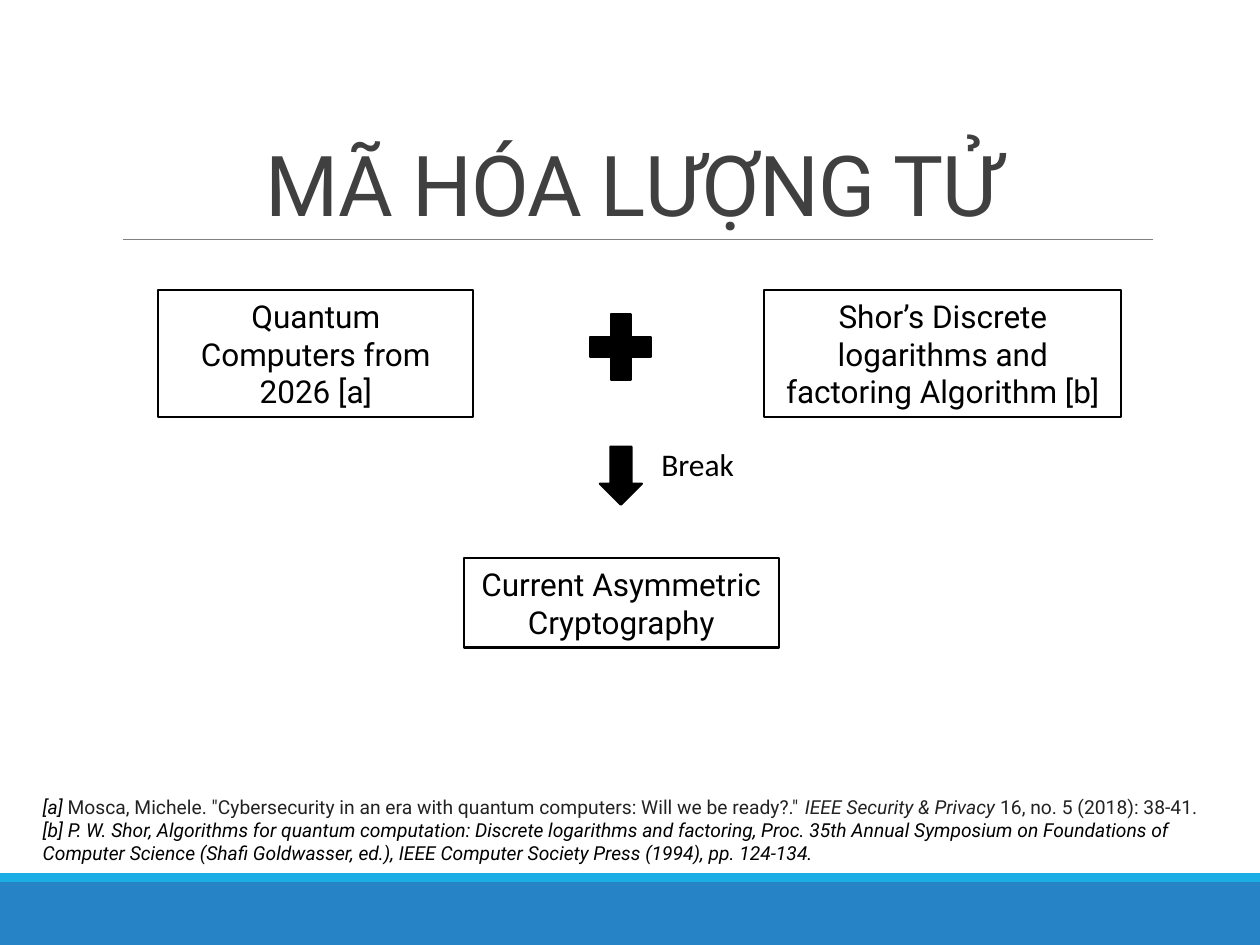
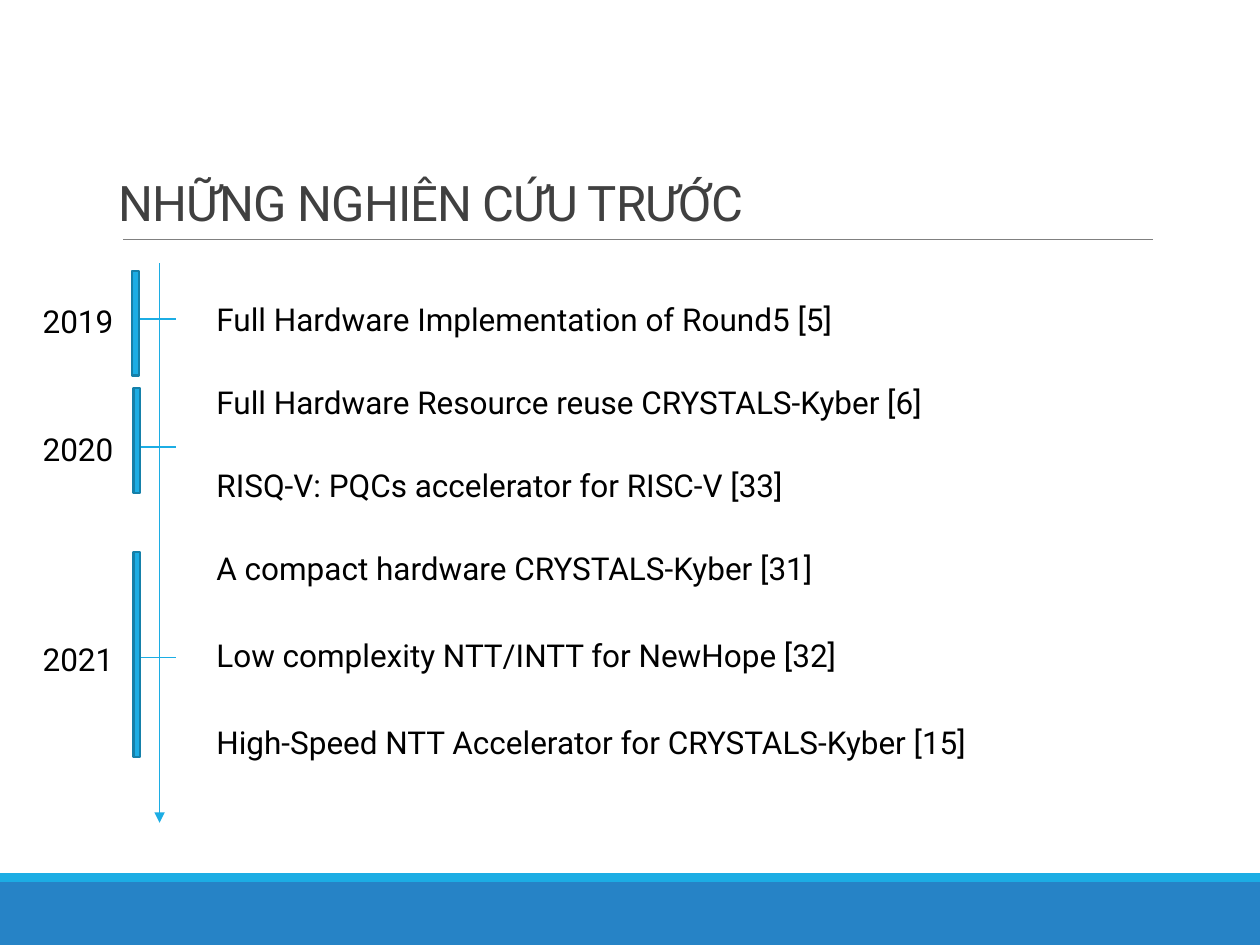
from lxml import etree
from pptx import Presentation
from pptx.dml.color import RGBColor
from pptx.enum.shapes import MSO_CONNECTOR, MSO_SHAPE
from pptx.enum.text import MSO_ANCHOR, MSO_AUTO_SIZE, PP_ALIGN
from pptx.oxml.ns import qn
from pptx.util import Pt

# Enum members
RECTANGLE, PROCESS = MSO_SHAPE.RECTANGLE, MSO_SHAPE.FLOWCHART_PROCESS
PLUS, RIGHT_ARROW = MSO_SHAPE.MATH_PLUS, MSO_SHAPE.RIGHT_ARROW
STRAIGHT = MSO_CONNECTOR.STRAIGHT
TOP, MIDDLE, BOTTOM = MSO_ANCHOR.TOP, MSO_ANCHOR.MIDDLE, MSO_ANCHOR.BOTTOM
LEFT, CENTER = PP_ALIGN.LEFT, PP_ALIGN.CENTER
GROW, FIXED = MSO_AUTO_SIZE.SHAPE_TO_FIT_TEXT, MSO_AUTO_SIZE.NONE

# Colours
BLACK = RGBColor(0x00, 0x00, 0x00)
WHITE = RGBColor(0xFF, 0xFF, 0xFF)
TITLE_GREY = RGBColor(0x40, 0x40, 0x40)
RULE_GREY = RGBColor(0x80, 0x80, 0x80)
CITATION_GREY = RGBColor(0x22, 0x22, 0x22)
BAND_BLUE = RGBColor(0x26, 0x83, 0xC6)
SKY_BLUE = RGBColor(0x1C, 0xAD, 0xE4)
EDGE_BLUE = RGBColor(0x15, 0x80, 0xA9)

WIDTH, HEIGHT = 720, 540
OUTLINE = 1.25


class Deck:
    """Holds the shared style and the slide being filled."""

    body = {"name": "Roboto", "size": Pt(18), "italic": False}

    def __init__(self):
        self.prs = Presentation()
        self.prs.slide_width, self.prs.slide_height = Pt(WIDTH), Pt(HEIGHT)
        self.slide = None

    def new_slide(self, title, title_box, title_size):
        self.slide = self.prs.slides.add_slide(self.prs.slide_layouts[6])
        # Footer bands and title rule
        self.shape(RECTANGLE, (0, 504, WIDTH, 36), BAND_BLUE)
        self.shape(RECTANGLE, (0, 499, WIDTH, 5), SKY_BLUE)
        self.line((70.5, 136.8), (658.8, 136.8), RULE_GREY, 0.5)
        # Title
        box = self.text(title_box, [[(title, {"size": Pt(title_size)})]],
                        TITLE_GREY, CENTER, BOTTOM, FIXED)
        paragraph = box.text_frame.paragraphs[0]
        paragraph.line_spacing = 0.85
        paragraph.runs[0].font._element.set("spc", "-50")

    def shape(self, kind, box, fill, edge=None, rotation=0):
        shape = self.slide.shapes.add_shape(kind, *map(Pt, box))
        shape.shadow.inherit = False
        shape.rotation = rotation
        shape.fill.solid()
        shape.fill.fore_color.rgb = fill
        if edge is None:
            shape.line.fill.background()
        else:
            shape.line.color.rgb = edge
            shape.line.width = Pt(OUTLINE)
        return shape

    def line(self, start, end, color, width, arrow=False):
        line = self.slide.shapes.add_connector(STRAIGHT, *map(Pt, start + end))
        line.line.color.rgb = color
        line.line.width = Pt(width)
        properties = line._element.spPr
        if arrow:
            etree.SubElement(properties.find(qn("a:ln")), qn("a:tailEnd"), type="triangle")
        etree.SubElement(properties, qn("a:effectLst"))

    def fill_frame(self, frame, paragraphs, color, align, anchor, fit):
        """Fill a frame; each paragraph is a list of (text, font changes)."""
        layout = {"word_wrap": True, "vertical_anchor": anchor, "auto_size": fit}
        for key, value in layout.items():
            setattr(frame, key, value)
        for index, runs in enumerate(paragraphs):
            paragraph = frame.add_paragraph() if index else frame.paragraphs[0]
            paragraph.alignment = align
            for words, changes in runs:
                run = paragraph.add_run()
                run.text = words
                run.font.color.rgb = changes.get("color", color)
                for key, value in {**self.body, **changes}.items():
                    if key != "color":
                        setattr(run.font, key, value)

    def text(self, box, paragraphs, color=BLACK, align=LEFT, anchor=TOP, fit=GROW):
        area = self.slide.shapes.add_textbox(*map(Pt, box))
        self.fill_frame(area.text_frame, paragraphs, color, align, anchor, fit)
        return area

    def label(self, box, words, **changes):
        self.text(box, [[(words, changes)]])

    def boxed_text(self, box, words):
        shape = self.shape(RECTANGLE, box, WHITE, BLACK)
        self.fill_frame(shape.text_frame, [[(words, {})]], BLACK, CENTER, MIDDLE, GROW)


def quantum_threat(deck):
    deck.new_slide("MÃ HÓA LƯỢNG TỬ", (64.8, 22.3, 594, 114.5), 48)

    # Two causes and their outcome
    deck.boxed_text((265, 319, 180, 51), "Current Asymmetric Cryptography")
    deck.boxed_text((90.5, 165.6, 180, 72.7), "Quantum Computers from 2026 [a]")
    deck.boxed_text((436.8, 165.6, 204, 72.7),
                    "Shor’s Discrete logarithms and factoring Algorithm [b]")
    deck.shape(PLUS, (331, 172.8, 47.5, 51), BLACK, BLACK)
    deck.shape(RIGHT_ARROW, (338.2, 259.8, 33.2, 24), BLACK, BLACK, 90)
    deck.label((370.8, 250.6, 115, 29), "Break", name="Calibri")

    # References
    small = {"size": Pt(11)}
    italic = {**small, "italic": True}
    deck.text((17.3, 450.7, 685, 47.5), [
        [("[a] ", italic),
         ("Mosca, Michele. \"Cybersecurity in an era with quantum computers: "
          "Will we be ready?.\" ", {**small, "color": CITATION_GREY}),
         ("IEEE Security & Privacy", {**italic, "color": CITATION_GREY}),
         (" 16, no. 5 (2018): 38-41.", {**small, "color": CITATION_GREY})],
        [("[b] P. W. Shor, Algorithms for quantum computation: Discrete logarithms "
          "and factoring, Proc. 35th Annual Symposium on Foundations of Computer "
          "Science (Shafi Goldwasser, ed.), IEEE Computer Society Press (1994), "
          "pp. 124-134.", italic)],
    ])


def previous_research(deck):
    deck.new_slide("NHỮNG NGHIÊN CỨU TRƯỚC", (-61.2, 21.6, 615, 114.5), 28)

    # Time axis
    deck.line((91.2, 150.5), (91.2, 470.2), SKY_BLUE, 1, arrow=True)

    # Studies
    studies = [
        (167.8, "Full Hardware Implementation of Round5 [5]"),
        (215.3, "Full Hardware Resource reuse CRYSTALS-Kyber [6]"),
        (262.8, "RISQ-V: PQCs accelerator for RISC-V [33]"),
        (310.3, "A compact hardware CRYSTALS-Kyber [31]"),
        (360, "Low complexity NTT/INTT for NewHope [32]"),
        (409.7, "High-Speed NTT Accelerator for CRYSTALS-Kyber [15]"),
    ]
    for top, study in studies:
        deck.label((116.6, top, 512, 29), study)

    # Years: tick height, then left, top and height of the bar
    years = [
        ("2019", 182.2, 75.6, 154.8, 59.8),
        ("2020", 255.6, 76.3, 221.8, 59.8),
        ("2021", 375.8, 76.3, 315.4, 117.4),
    ]
    for year, tick, left, top, height in years:
        deck.line((79.9, tick), (100.8, tick), SKY_BLUE, 1)
        deck.shape(PROCESS, (left, top, 3.6, height), SKY_BLUE, EDGE_BLUE)
        deck.label((17.3, tick - 13.4, 116, 29), year)


def main():
    deck = Deck()
    quantum_threat(deck)
    previous_research(deck)
    deck.prs.save("out.pptx")


if __name__ == "__main__":
    main()
